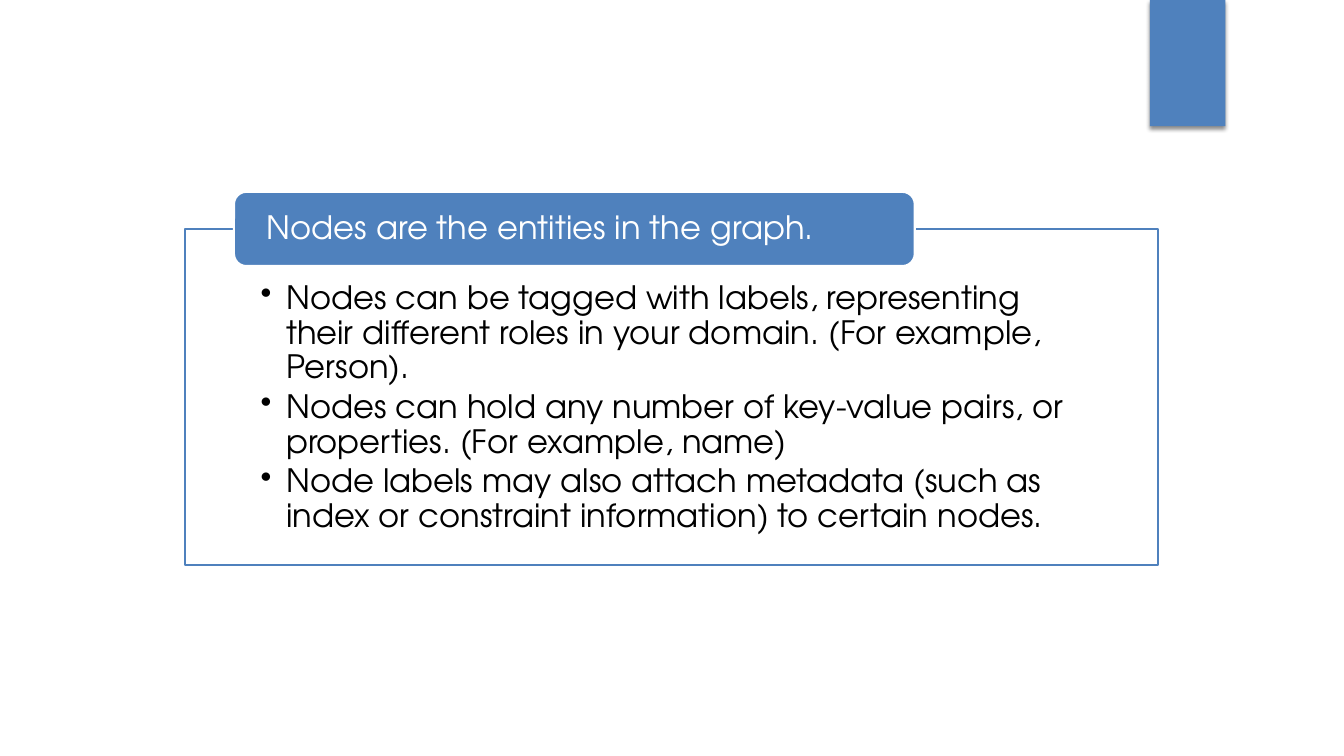
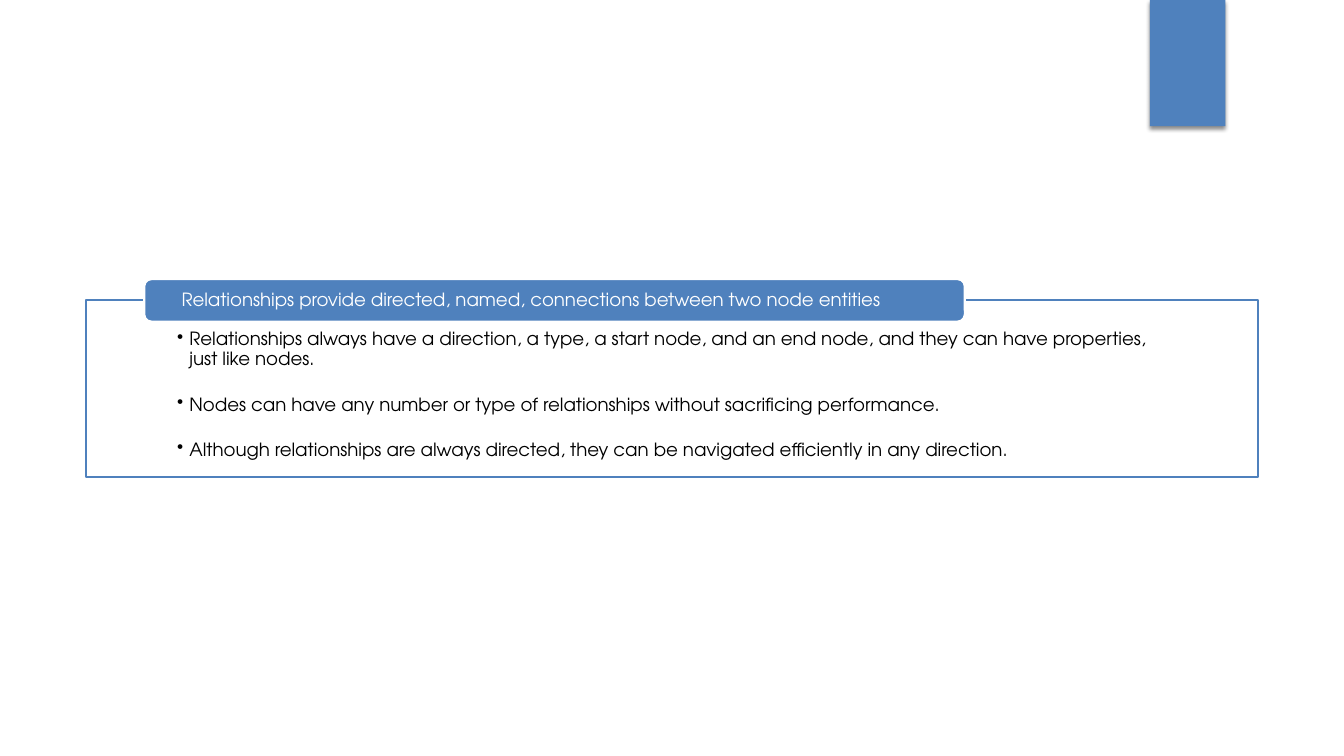
from lxml import etree
from pptx import Presentation
from pptx.dml.color import RGBColor
from pptx.enum.shapes import MSO_SHAPE
from pptx.enum.text import MSO_ANCHOR, PP_ALIGN
from pptx.oxml import parse_xml
from pptx.oxml.ns import nsdecls, qn
from pptx.util import Cm, Pt

BLUE, WHITE, BLACK = "4F81BD", "FFFFFF", "000000"
FONT = "TeX Gyre Adventor"


def tint(code):
    return RGBColor.from_string(code)


class Deck:
    def __init__(self):
        self.prs = Presentation()
        self.prs.slide_width, self.prs.slide_height = Cm(33.87), Cm(19.05)
        self.slide = None

    def page(self):
        self.slide = self.prs.slides.add_slide(self.prs.slide_layouts[6])
        self.band()

    def shape(self, kind, x, y, w, h, fill, line=None):
        item = self.slide.shapes.add_shape(kind, Cm(x), Cm(y), Cm(w), Cm(h))
        item.shadow.inherit = False
        item.fill.solid()
        item.fill.fore_color.rgb = tint(fill)
        if line:
            item.line.color.rgb = tint(line)
            item.line.width = Pt(1.5)
        else:
            item.line.fill.background()
        return item

    # Corner band with a soft shadow below it
    def band(self):
        item = self.shape(MSO_SHAPE.RECTANGLE, 28.98, 0, 1.9, 3.18, BLUE)
        glow = item._element.spPr.find(qn("a:effectLst"))
        glow.append(parse_xml(
            f'<a:outerShdw {nsdecls("a")} blurRad="{Pt(3)}" dist="{Pt(2)}" '
            'dir="5400000" rotWithShape="0"><a:srgbClr val="000000">'
            '<a:alpha val="45000"/></a:srgbClr></a:outerShdw>'))

    # Paragraphs share font, spacing and insets
    def label(self, item, lines, size, color, pad, after=0, dent=0):
        frame = item.text_frame
        frame.word_wrap = True
        (frame.margin_left, frame.margin_top,
         frame.margin_right, frame.margin_bottom) = map(Cm, pad)
        frame.text = "\n".join(lines)
        for para in frame.paragraphs:
            if dent:
                self.bullet(para, dent)
            para.alignment = PP_ALIGN.LEFT
            para.line_spacing = 0.9
            para.space_after = Pt(after)
            font = para.runs[0].font
            font.name, font.size = FONT, Pt(size)
            font.color.rgb = tint(color)

    def bullet(self, para, dent):
        props = para._p.get_or_add_pPr()
        props.set("marL", str(Cm(dent)))
        props.set("indent", str(-Cm(dent)))
        etree.SubElement(props, qn("a:buChar")).set("char", "•")

    # Framed list whose heading tab straddles the top edge
    def panel(self, x, y, w, h, size, head, items, after, dent):
        box = self.shape(MSO_SHAPE.RECTANGLE, x, y, w, h, WHITE, BLUE)
        color = box._element.spPr.find(qn("a:solidFill"))[0]
        etree.SubElement(color, qn("a:alpha")).set("val", "90000")
        box.text_frame.vertical_anchor = MSO_ANCHOR.TOP
        side = 0.08 * w - 0.06
        pad = (side, 0.0575 * size, side, 0.02 * size)
        self.label(box, items, size, BLACK, pad, after, dent)

        high = 0.08 * size + 0.03
        tab = self.shape(MSO_SHAPE.ROUNDED_RECTANGLE, x + 0.05 * w,
                         y - high / 2, 0.7 * w, high, BLUE, WHITE)
        tab.text_frame.vertical_anchor = MSO_ANCHOR.MIDDLE
        side = 0.03 * w
        self.label(tab, [head], size, WHITE, (side, 0, side, 0))


def main():
    deck = Deck()

    # Nodes
    deck.page()
    deck.panel(4.67, 5.77, 24.51, 8.46, 23,
               "Nodes are the entities in the graph.", [
                   "Nodes can be tagged with labels, representing their "
                   "different roles in your domain. (For example, Person).",
                   "Nodes can hold any number of key-value pairs, or "
                   "properties. (For example, name)",
                   "Node labels may also attach metadata (such as index or "
                   "constraint information) to certain nodes.",
               ], after=3.5, dent=0.64)

    # Relationships
    deck.page()
    deck.panel(2.16, 7.57, 29.54, 4.45, 13,
               "Relationships provide directed, named, connections between "
               "two node entities", [
                   "Relationships always have a direction, a type, a start "
                   "node, and an end node, and they can have properties, "
                   "just like nodes.",
                   "Nodes can have any number or type of relationships "
                   "without sacrificing performance.",
                   "Although relationships are always directed, they can be "
                   "navigated efficiently in any direction.",
               ], after=18.5, dent=0.31)

    deck.prs.save("out.pptx")


if __name__ == "__main__":
    main()
